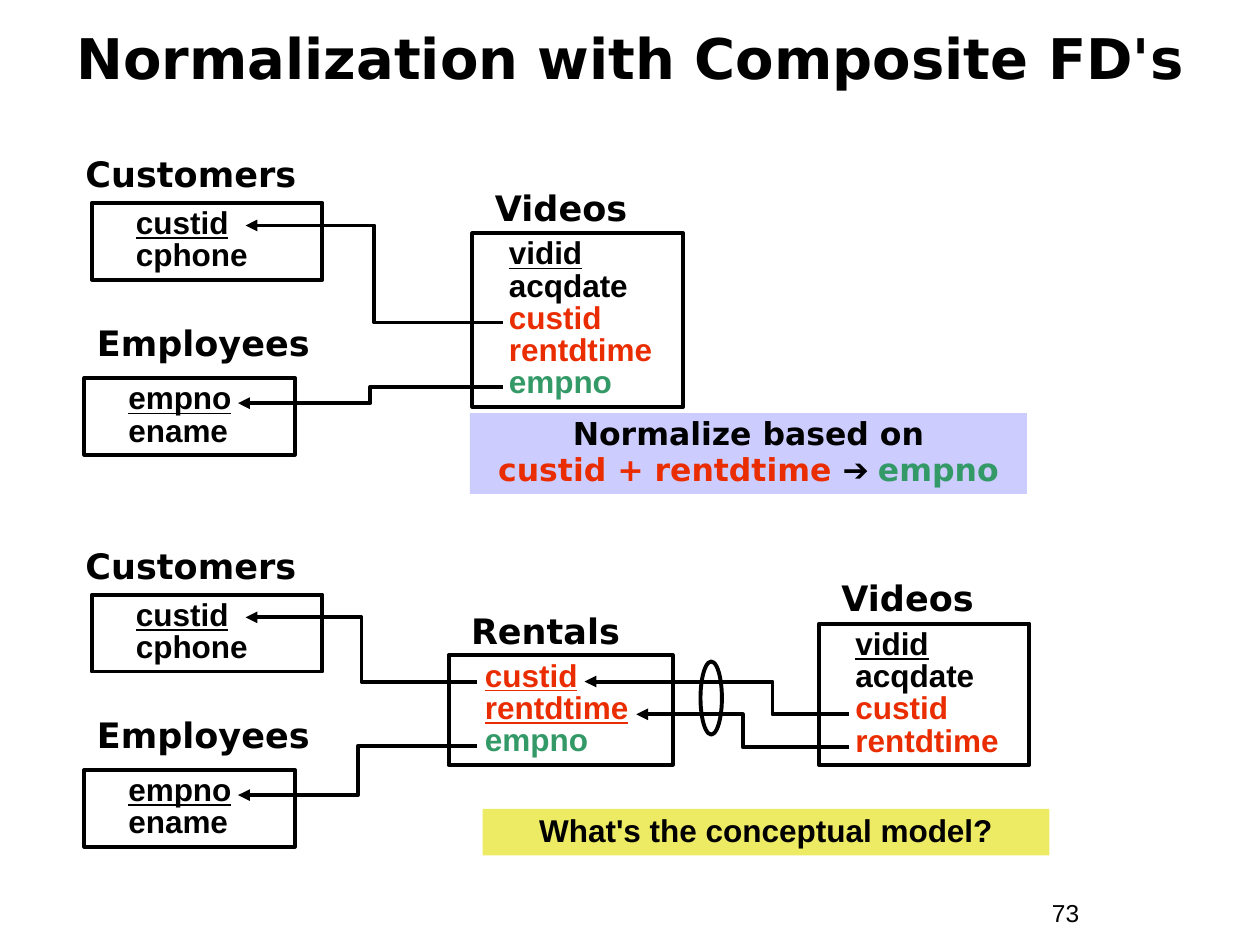
import pptx
import pptx.util
import pptx.dml.color
import pptx.enum.shapes
import pptx.enum.text
import pptx.oxml.ns
from lxml import etree

Inches = pptx.util.Inches
Pt = pptx.util.Pt
Shapes = pptx.enum.shapes.MSO_SHAPE
Align = pptx.enum.text.PP_ALIGN
Anchor = pptx.enum.text.MSO_ANCHOR

HEADING_FONT = "DejaVu Sans"
BODY_FONT = "Arial"
BLACK, RED, GREEN = "000000", "EA2D00", "339966"
LAVENDER, YELLOW = "CCCCFF", "EDEA63"

# Each field is (text, format)
CUSTOMER_FIELDS = [("custid", {"underline": True}), ("cphone", {})]
EMPLOYEE_FIELDS = [("empno", {"underline": True}), ("ename", {})]
VIDEO_FIELDS = [("vidid", {"underline": True}), ("acqdate", {}),
                ("custid", {"color": RED}), ("rentdtime", {"color": RED})]
RENTAL_FIELDS = [("custid", {"color": RED, "underline": True}),
                 ("rentdtime", {"color": RED, "underline": True}),
                 ("empno", {"color": GREEN})]


def rgb(color):
    return pptx.dml.color.RGBColor.from_string(color)


def write_text(shape, lines, size=18, font=BODY_FONT, bold=True, align=Align.LEFT,
               anchor=Anchor.TOP, spacing=1.0, space_before=0, indent=0):
    """Fill a shape with lines, each a list of (text, format) runs."""
    frame = shape.text_frame
    frame.word_wrap = True
    frame.vertical_anchor = anchor
    for index, runs in enumerate(lines):
        paragraph = frame.paragraphs[0] if index == 0 else frame.add_paragraph()
        paragraph.alignment = align
        paragraph.line_spacing = spacing
        if index:
            paragraph.space_before = Pt(space_before)
        properties = paragraph._p.get_or_add_pPr()
        properties.set("marL", str(Inches(indent)))
        properties.set("indent", "0")
        for text, style in runs:
            run = paragraph.add_run()
            run.text = text
            run.font.size = Pt(size)
            run.font.name = style.get("font", font)
            run.font.bold = bold
            run.font.underline = style.get("underline", False)
            run.font.color.rgb = rgb(style.get("color", BLACK))


def add_label(slide, text, left, top, width, height, **style):
    box = slide.shapes.add_textbox(Inches(left), Inches(top), Inches(width), Inches(height))
    write_text(box, [[(text, {})]], **style)


def add_block(slide, left, top, width, height, kind=Shapes.RECTANGLE, fill=None):
    """Add a filled block, or an outlined one when no fill is given."""
    shape = slide.shapes.add_shape(kind, Inches(left), Inches(top),
                                   Inches(width), Inches(height))
    shape.shadow.inherit = False
    if fill:
        shape.fill.solid()
        shape.fill.fore_color.rgb = rgb(fill)
        shape.line.fill.background()
    else:
        shape.fill.background()
        shape.line.color.rgb = rgb(BLACK)
        shape.line.width = Pt(2.25)
    return shape


def add_entity(slide, name, fields, left, top, width, height,
               label_shift, label_rise, label_width=1.4, indent=0.19):
    """Draw an entity box with its name above it."""
    add_label(slide, name, left + label_shift, top - label_rise, label_width, 0.44,
              size=20, font=HEADING_FONT)
    box = add_block(slide, left, top, width, height)
    write_text(box, [[field] for field in fields], spacing=0.85, indent=indent)


def add_reference(slide, start, end, bend=0.5):
    """Draw an elbow arrow from a foreign key to the key it refers to."""
    line = slide.shapes.add_connector(pptx.enum.shapes.MSO_CONNECTOR.ELBOW,
                                      *[Inches(value) for value in (*start, *end)])
    line.line.color.rgb = rgb(BLACK)
    line.line.width = Pt(2.25)
    qn = pptx.oxml.ns.qn
    properties = line._element.spPr
    adjustments = properties.find(qn("a:prstGeom")).get_or_add_avLst()
    etree.SubElement(adjustments, qn("a:gd"), name="adj1", fmla=f"val {round(bend * 100000)}")
    etree.SubElement(properties.find(qn("a:ln")), qn("a:tailEnd"), type="triangle")
    etree.SubElement(properties, qn("a:effectLst"))


def add_people(slide, top, customer_start, employee_start):
    """Draw Customers above Employees, with the arrows that reach their keys."""
    add_entity(slide, "Customers", CUSTOMER_FIELDS, 0.73, top, 1.83, 0.61,
               -0.15, 0.45, label_width=2.15, indent=0.25)
    add_entity(slide, "Employees", EMPLOYEE_FIELDS, 0.67, top + 1.39, 1.67, 0.61,
               0, 0.5, label_width=2.15, indent=0.25)
    add_reference(slide, customer_start, (1.95, top + 0.18))
    add_reference(slide, employee_start, (1.89, top + 1.59))


def add_videos(slide, left, top, height, fields):
    add_entity(slide, "Videos", fields, left, top, 1.67, height, 0.08, 0.42)


def add_original_model(slide, top):
    """Draw the model before normalization, with the dependency to use."""
    add_videos(slide, 3.75, top + 0.24, 1.38, VIDEO_FIELDS + [("empno", {"color": GREEN})])
    add_people(slide, top, (3.99, top + 0.95), (3.99, top + 1.46))
    note = add_block(slide, 3.73, top + 1.67, 4.42, 0.64, fill=LAVENDER)
    write_text(note, [
        [("Normalize based on", {})],
        [("custid + rentdtime ", {"color": RED}), ("➔ ", {"font": BODY_FONT}),
         ("empno", {"color": GREEN})],
    ], font=HEADING_FONT, align=Align.CENTER, spacing=0.85, space_before=2.2)


def add_normalized_model(slide, top):
    """Draw the model after normalization, with its composite key."""
    add_videos(slide, 6.5, top + 0.23, 1.12, VIDEO_FIELDS)
    add_entity(slide, "Rentals", RENTAL_FIELDS, 3.56, top + 0.48, 1.78, 0.87, 0.08, 0.41)
    add_people(slide, top, (3.79, top + 0.69), (3.79, top + 1.2))
    add_reference(slide, (6.74, top + 0.95), (4.64, top + 0.69), bend=0.29)
    add_reference(slide, (6.74, top + 1.21), (5.05, top + 0.95))
    # Ring that joins the two parts of the key
    add_block(slide, 5.56, top + 0.53, 0.17, 0.58, kind=Shapes.OVAL)
    question = add_block(slide, 3.83, top + 1.7, 4.5, 0.37, fill=YELLOW)
    write_text(question, [[("What's the conceptual model?", {})]],
               align=Align.CENTER, spacing=0.9)


def main():
    presentation = pptx.Presentation()
    presentation.slide_width = Inches(10)
    presentation.slide_height = Inches(7.5)
    slide = presentation.slides.add_slide(presentation.slide_layouts[6])

    # Title and page number
    add_label(slide, "Normalization with Composite FD's", 0.42, 0.08, 9.17, 0.83,
              size=32, font=HEADING_FONT, align=Align.CENTER,
              anchor=Anchor.MIDDLE, spacing=0.85)
    add_label(slide, "73", 8.25, 7.08, 0.92, 0.34, size=14, bold=False)

    add_original_model(slide, 1.61)
    add_normalized_model(slide, 4.72)
    presentation.save("out.pptx")


if __name__ == "__main__":
    main()
